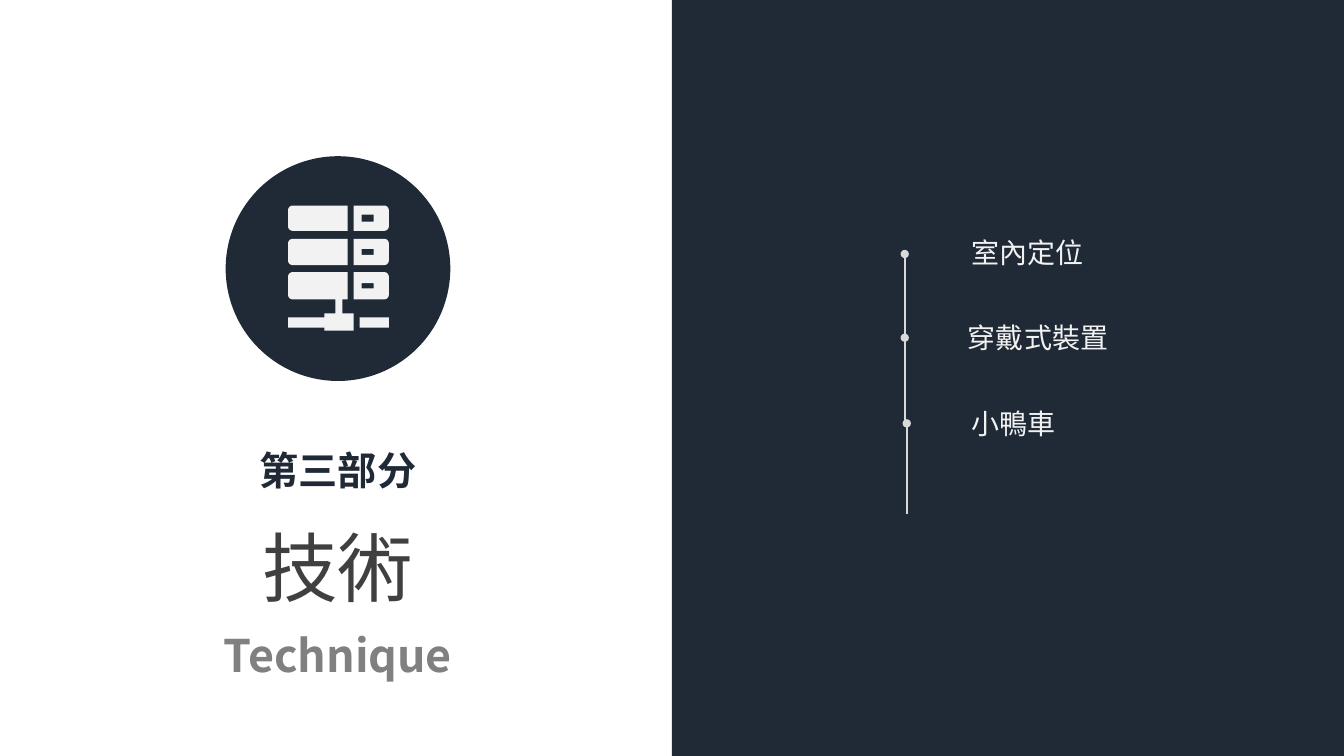
from dataclasses import dataclass
from math import cos, pi, sin

from lxml.etree import SubElement
from pptx import Presentation
from pptx.dml.color import RGBColor
from pptx.enum.shapes import MSO_CONNECTOR, MSO_SHAPE
from pptx.enum.text import MSO_ANCHOR, MSO_AUTO_SIZE, PP_ALIGN
from pptx.oxml.ns import qn
from pptx.util import Pt

PX = 9144  # EMU per px, 100 px to the inch
Point = tuple[float, float]


@dataclass(frozen=True)
class Theme:
    font: str = "Noto Sans CJK SC"
    navy: str = "202A36"
    heading: str = "404040"
    subtitle: str = "808080"
    light: str = "F2F2F2"
    rule: str = "D9D9D9"
    heading_size: int = 54
    subtitle_size: int = 32
    part_size: int = 28
    topic_size: int = 20
    rule_width: float = 1.5


@dataclass(frozen=True)
class Line:
    text: str
    size: int
    color: str
    bold: bool = False


@dataclass(frozen=True)
class Topic:
    text: str
    x: int
    y: int
    w: int


@dataclass(frozen=True)
class Stem:
    x: int
    bottom: int
    dot: int


@dataclass(frozen=True)
class Server:
    top: int
    bottom: int
    slot_top: int
    slot_bottom: int


THEME = Theme()
TOPICS = [
    Topic("室內定位", 954, 229, 132),
    Topic("穿戴式裝置", 951, 313, 160),
    Topic("小鴨車", 954, 398, 104),
]
STEMS = [Stem(900, 510, 420), Stem(898, 418, 335), Stem(898, 335, 252)]
SERVERS = [
    Server(204, 229, 213, 220),
    Server(237, 263, 247, 253),
    Server(270, 297, 281, 286),
]
NETWORK = [(333, 297), (340, 297), (340, 311), (351, 311), (351, 328), (322, 328),
           (322, 325), (286, 325), (286, 315), (322, 315), (322, 311), (333, 311)]


def place(s, x: int, y: int, w: int, h: int) -> None:
    s.left, s.top, s.width, s.height = (v * PX for v in (x, y, w, h))


def write(s, lines: list[Line], align: PP_ALIGN, spacing: float = 1.0) -> None:
    tf = s.text_frame
    tf.word_wrap = False
    tf.auto_size = MSO_AUTO_SIZE.SHAPE_TO_FIT_TEXT
    tf.vertical_anchor = MSO_ANCHOR.TOP
    for i, line in enumerate(lines):
        p = tf.add_paragraph() if i else tf.paragraphs[0]
        p.alignment, p.line_spacing = align, spacing
        r = p.add_run()
        r.text = line.text
        r.font.size, r.font.bold, r.font.name = Pt(line.size), line.bold, THEME.font
        r.font.color.rgb = RGBColor.from_string(line.color)
        SubElement(r.font._element, qn("a:ea"), typeface=THEME.font)


def add_text(shapes, x: int, y: int, w: int, h: int, line: Line, align: PP_ALIGN) -> None:
    s = shapes.add_textbox(0, 0, 0, 0)
    write(s, [line], align)
    place(s, x, y, w, h)


def paint(s, color: str) -> None:
    s.shadow.inherit = False
    s.fill.solid()
    s.fill.fore_color.rgb = RGBColor.from_string(color)
    s.line.fill.background()


def add_preset(shapes, kind: MSO_SHAPE, x: int, y: int, w: int, h: int, color: str) -> None:
    paint(shapes.add_shape(kind, *(v * PX for v in (x, y, w, h))), color)


def box(left: int, top: int, right: int, bottom: int) -> list[Point]:
    return [(left, top), (right, top), (right, bottom), (left, bottom)]


def server_part(inner: int, outer: int, top: int, bottom: int, radius: float = 4.5) -> list[Point]:
    """Outline square on the inner side and rounded on the outer side."""
    side = 1 if outer > inner else -1
    cx = outer - side * radius
    turns = [i * pi / 12 for i in range(7)]
    upper = [(cx + side * radius * sin(a), top + radius * (1 - cos(a))) for a in turns]
    lower = [(x, top + bottom - y) for x, y in reversed(upper)]
    return [(inner, top), *upper, *lower, (inner, bottom)]


def add_outline(shapes, contours: list[list[Point]], color: str) -> None:
    scaled = [[(round(x * PX), round(y * PX)) for x, y in c] for c in contours]
    builder = shapes.build_freeform(*scaled[0][0], scale=1.0)
    for i, points in enumerate(scaled):
        if i:
            builder.move_to(*points[0])
        builder.add_line_segments(points[1:], close=True)
    paint(builder.convert_to_shape(), color)


def add_stem(shapes, stem: Stem) -> None:
    s = shapes.add_connector(MSO_CONNECTOR.STRAIGHT, stem.x * PX, stem.bottom * PX,
                             stem.x * PX, stem.dot * PX)
    s.line.color.rgb = RGBColor.from_string(THEME.rule)
    s.line.width = Pt(THEME.rule_width)
    SubElement(s.line._get_or_add_ln(), qn("a:tailEnd"), type="oval")
    SubElement(s._element.spPr, qn("a:effectLst"))


def main() -> None:
    prs = Presentation()
    prs.slide_width, prs.slide_height = 1334 * PX, 750 * PX
    slide = prs.slides.add_slide(prs.slide_layouts[5])
    shapes = slide.shapes

    # Section title and part number
    write(shapes.title, [
        Line("技術", THEME.heading_size, THEME.heading),
        Line("Technique", THEME.subtitle_size, THEME.subtitle, True),
    ], PP_ALIGN.CENTER, 1.3)
    place(shapes.title, 211, 485, 249, 191)
    add_text(shapes, 247, 438, 177, 57,
             Line("第三部分", THEME.part_size, THEME.navy, True), PP_ALIGN.CENTER)

    # Server icon on its disc
    icon = shapes.add_group_shape().shapes
    add_preset(icon, MSO_SHAPE.OVAL, 224, 155, 223, 223, THEME.navy)
    contours = [NETWORK, box(357, 315, 386, 325)]
    for sv in SERVERS:
        contours += [
            server_part(345, 286, sv.top, sv.bottom),
            server_part(351, 386, sv.top, sv.bottom),
            box(359, sv.slot_top, 371, sv.slot_bottom)[::-1],
        ]
    add_outline(icon, contours, THEME.light)

    # Dark panel with the topic timeline
    add_preset(shapes, MSO_SHAPE.RECTANGLE, 667, 0, 667, 750, THEME.navy)
    for stem in STEMS:
        add_stem(shapes, stem)
    for t in TOPICS:
        add_text(shapes, t.x, t.y, t.w, 44,
                 Line(t.text, THEME.topic_size, THEME.light), PP_ALIGN.LEFT)

    prs.save("out.pptx")


if __name__ == "__main__":
    main()
